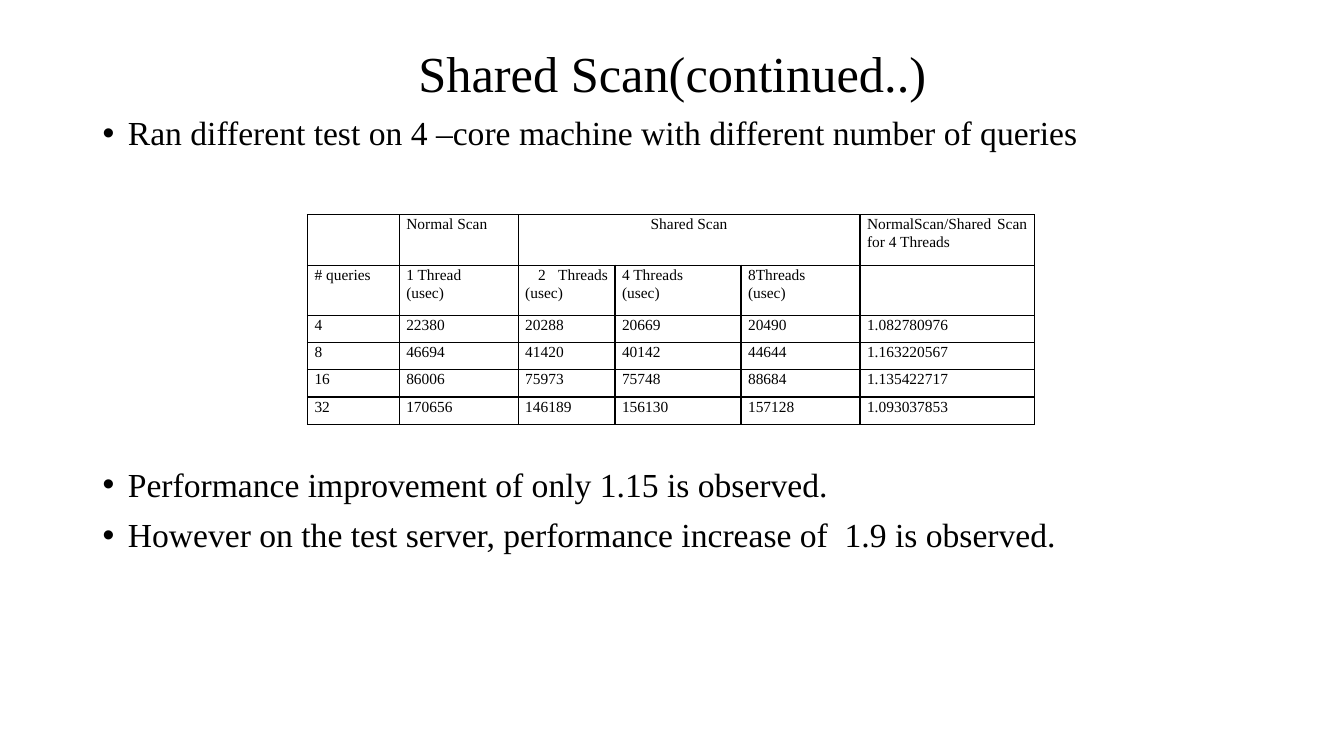
"""Build the Shared Scan slide: scan timings table between bullet findings."""
import pptx
import pptx.dml.color
import pptx.enum.text
import pptx.oxml
import pptx.oxml.ns
import pptx.util
from pptx.util import Inches

BLACK = pptx.dml.color.RGBColor(0, 0, 0)
FONT = "Times New Roman"
ALIGN = pptx.enum.text.PP_ALIGN
NS = pptx.oxml.ns.nsdecls("a")


def style(paragraph, size, spacing, align):
    paragraph.alignment = align
    paragraph.line_spacing = spacing
    paragraph.font.name = FONT
    paragraph.font.size = pptx.util.Pt(size)
    paragraph.font.color.rgb = BLACK


deck = pptx.Presentation()
deck.slide_width, deck.slide_height = Inches(13.33), Inches(7.5)
slide = deck.slides.add_slide(deck.slide_layouts[6])

title = slide.shapes.add_textbox(Inches(0.92), Inches(0.4), Inches(11.5), Inches(0.71)).text_frame
title.word_wrap = True
title.vertical_anchor = pptx.enum.text.MSO_ANCHOR.MIDDLE
title.text = "Shared Scan(continued..)"
style(title.paragraphs[0], 36, 0.9, ALIGN.CENTER)

findings = [
    ("Ran different test on 4 –core machine with different number of queries", 0),
    ("Performance improvement of only 1.15 is observed.", 225),
    ("However on the test server, performance increase of  1.9 is observed.", 10),
]
body = slide.shapes.add_textbox(Inches(0.92), Inches(1.11), Inches(11.5), Inches(5.65)).text_frame
body.word_wrap = True
body.text = "\n".join(text for text, gap in findings)
for paragraph, (text, gap) in zip(body.paragraphs, findings):
    properties = paragraph._p.get_or_add_pPr()
    properties.set("marL", str(Inches(0.25)))
    properties.set("indent", str(Inches(-0.25)))
    properties.append(pptx.oxml.parse_xml(f'<a:buFont {NS} typeface="Arial"/>'))
    properties.append(pptx.oxml.parse_xml(f'<a:buChar {NS} char="•"/>'))
    style(paragraph, 24, 0.9, ALIGN.LEFT)
    paragraph.space_before = pptx.util.Pt(gap)

timings = [
    ["", "Normal Scan", "Shared Scan", "", "", "NormalScan/Shared Scan for 4 Threads"],
    ["# queries", "1 Thread\n(usec)", " 2 Threads (usec)", "4 Threads\n(usec)", "8Threads\n(usec)", ""],
    ["4", "22380", "20288", "20669", "20490", "1.082780976"],
    ["8", "46694", "41420", "40142", "44644", "1.163220567"],
    ["16", "86006", "75973", "75748", "88684", "1.135422717"],
    ["32", "170656", "146189", "156130", "157128", "1.093037853"],
]
column_widths = [0.91, 1.18, 0.96, 1.25, 1.18, 1.73]
row_heights = [0.5] * 2 + [0.27] * 4
table = slide.shapes.add_table(
    len(row_heights), len(column_widths), Inches(3.05), Inches(2.13), Inches(7.2), Inches(2.07)
).table
table.first_row = table.horz_banding = False
for column, width in zip(table.columns, column_widths):
    column.width = Inches(width)
for row, height, values in zip(table.rows, row_heights, timings):
    row.height = Inches(height)
    for cell, value in zip(row.cells, values):
        cell.text = value
        cell.margin_left = cell.margin_right = Inches(0.07)
        cell.margin_top = cell.margin_bottom = 0
        for paragraph in cell.text_frame.paragraphs:
            style(paragraph, 11, 1.07, ALIGN.JUSTIFY)
        borders = cell._tc.get_or_add_tcPr()
        for side in ("lnL", "lnR", "lnT", "lnB"):
            borders.append(pptx.oxml.parse_xml(
                f'<a:{side} {NS} w="{pptx.util.Pt(1)}"><a:solidFill>'
                f'<a:srgbClr val="{BLACK}"/></a:solidFill></a:{side}>'))
        cell.fill.background()

shared_heading = table.cell(0, 2)
shared_heading.merge(table.cell(0, 4))
shared_heading.text_frame.paragraphs[0].alignment = ALIGN.CENTER

deck.save("out.pptx")
